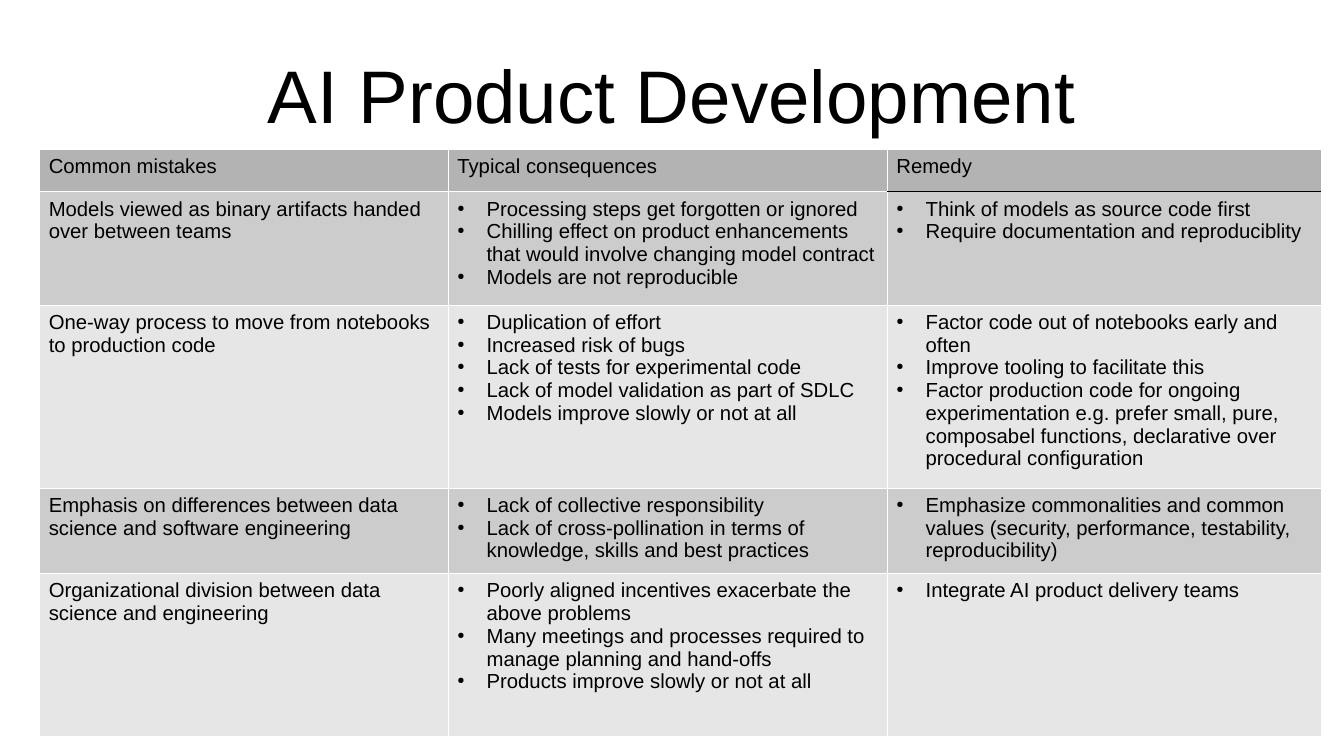
import pptx
import pptx.dml.color
import pptx.enum.text
import pptx.oxml
import pptx.oxml.ns
import pptx.util

Inches, Pt = pptx.util.Inches, pptx.util.Pt
RGBColor = pptx.dml.color.RGBColor
PP_ALIGN, MSO_ANCHOR = pptx.enum.text.PP_ALIGN, pptx.enum.text.MSO_ANCHOR

# Content: a string is plain text, a list is bulleted
TITLE = "AI Product Development"
HEADINGS = ("Common mistakes", "Typical consequences", "Remedy")
MISTAKES = [
    ("Models viewed as binary artifacts handed over between teams",
     ["Processing steps get forgotten or ignored",
      "Chilling effect on product enhancements that would involve changing model contract",
      "Models are not reproducible"],
     ["Think of models as source code first",
      "Require documentation and reproduciblity"]),
    ("One-way process to move from notebooks to production code",
     ["Duplication of effort",
      "Increased risk of bugs",
      "Lack of tests for experimental code",
      "Lack of model validation as part of SDLC",
      "Models improve slowly or not at all"],
     ["Factor code out of notebooks early and often",
      "Improve tooling to facilitate this",
      "Factor production code for ongoing experimentation e.g. prefer small, pure, "
      "composabel functions, declarative over procedural configuration"]),
    ("Emphasis on differences between data science and software engineering",
     ["Lack of collective responsibility",
      "Lack of cross-pollination in terms of knowledge, skills and best practices"],
     ["Emphasize commonalities and common values "
      "(security, performance, testability, reproducibility)"]),
    ("Organizational division between data science and engineering",
     ["Poorly aligned incentives exacerbate the above problems",
      "Many meetings and processes required to manage planning and hand-offs",
      "Products improve slowly or not at all"],
     ["Integrate AI product delivery teams"]),
]

# Layout and colours
SLIDE_W, SLIDE_H = 11.02, 6.2
TABLE_LEFT, TABLE_TOP = 0.32, 1.22
COLUMN_WIDTHS = (3.35, 3.6, 3.56)
ROW_HEIGHTS = (0.35, 0.93, 1.4, 0.66, 1.34)
INDENT = 0.24
BLACK = RGBColor(0x00, 0x00, 0x00)
WHITE = RGBColor(0xFF, 0xFF, 0xFF)
HEADING_GREY = RGBColor(0xB3, 0xB3, 0xB3)
BAND_GREYS = (RGBColor(0xCC, 0xCC, 0xCC), RGBColor(0xE6, 0xE6, 0xE6))
NS = pptx.oxml.ns.nsdecls("a")


def write(frame, text, size=12, align=PP_ALIGN.LEFT):
    """Fill a text frame; a list of lines becomes bullets."""
    bulleted = isinstance(text, list)
    for index, line in enumerate(text if bulleted else [text]):
        paragraph = frame.paragraphs[0] if index == 0 else frame.add_paragraph()
        paragraph.alignment = align
        run = paragraph.add_run()
        run.text = line
        run.font.name, run.font.size, run.font.bold = "Arial", Pt(size), False
        run.font.color.rgb = BLACK
        if bulleted:
            properties = paragraph._p.get_or_add_pPr()
            properties.set("marL", str(Inches(INDENT)))
            properties.set("indent", str(-Inches(INDENT)))
            for bullet in (f'<a:buClr {NS}><a:srgbClr val="{BLACK}"/></a:buClr>',
                           f'<a:buSzPct {NS} val="45000"/>',
                           f'<a:buChar {NS} char="●"/>'):
                properties.append(pptx.oxml.parse_xml(bullet))


def draw_border(cell, side, color, width):
    cell._tc.get_or_add_tcPr().append(pptx.oxml.parse_xml(
        f'<a:ln{side} {NS} w="{Pt(width)}"><a:solidFill><a:srgbClr val="{color}"/>'
        f'</a:solidFill></a:ln{side}>'))


deck = pptx.Presentation()
deck.slide_width, deck.slide_height = Inches(SLIDE_W), Inches(SLIDE_H)
slide = deck.slides.add_slide(deck.slide_layouts[6])

# Title
title = slide.shapes.add_textbox(
    Inches(SLIDE_W * 0.05), Inches(SLIDE_H * 0.04),
    Inches(SLIDE_W * 0.9), Inches(1.04)).text_frame
title.word_wrap = True
title.vertical_anchor = MSO_ANCHOR.MIDDLE
title.margin_left = title.margin_right = title.margin_top = title.margin_bottom = 0
write(title, TITLE, size=44, align=PP_ALIGN.CENTER)

# Table grid
rows = [HEADINGS, *MISTAKES]
table = slide.shapes.add_table(
    len(rows), len(HEADINGS), Inches(TABLE_LEFT), Inches(TABLE_TOP),
    Inches(sum(COLUMN_WIDTHS)), Inches(sum(ROW_HEIGHTS))).table
table.first_row = table.horz_banding = False
for column, width in zip(table.columns, COLUMN_WIDTHS):
    column.width = Inches(width)
for row, height in zip(table.rows, ROW_HEIGHTS):
    row.height = Inches(height)

# Cells, with a black rule under the last heading
for r, row in enumerate(rows):
    for c, text in enumerate(row):
        cell = table.cell(r, c)
        cell.margin_left = cell.margin_right = Inches(0.08)
        cell.margin_top = cell.margin_bottom = Inches(0.05)
        write(cell.text_frame, text)
        for side in "LRTB":
            ruled = (r, c, side) in ((0, 2, "B"), (1, 2, "T"))
            draw_border(cell, side, BLACK if ruled else WHITE, 1 if ruled else 0.06)
        cell.fill.solid()
        cell.fill.fore_color.rgb = BAND_GREYS[(r - 1) % 2] if r else HEADING_GREY

deck.save("out.pptx")
